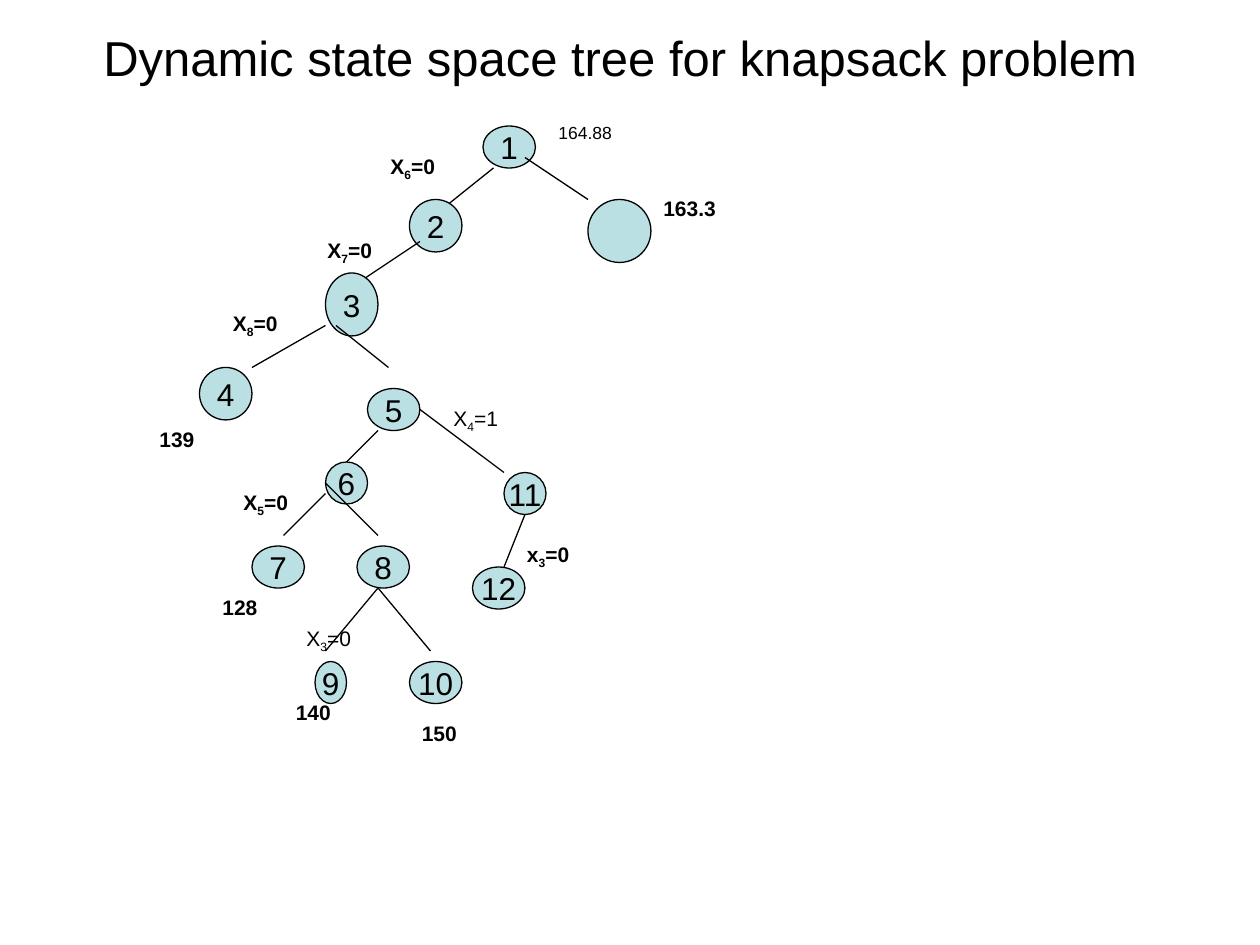
import pptx
import pptx.util
import pptx.dml.color
import pptx.enum.shapes
import pptx.enum.text
import pptx.oxml
import pptx.oxml.ns

COLUMNS, ROWS = 120, 90


def colour(hex_value):
    return pptx.dml.color.RGBColor.from_string(hex_value)


class TreeSlide:
    """Style and current slide; lengths are columns and rows of the grid."""
    font = "Arial"
    ink = "000000"
    node_fill = "BBE0E3"
    line_width = 0.75

    def __init__(self, deck):
        self.cell_width = deck.slide_width / COLUMNS
        self.cell_height = deck.slide_height / ROWS
        self.slide = deck.slides.add_slide(deck.slide_layouts[1])

    def place(self, x, y):
        return round(x * self.cell_width), round(y * self.cell_height)

    def add_run(self, paragraph, text, size, bold=False, subscript=False):
        run = paragraph.add_run()
        run.text = text
        run.font.name = self.font
        run.font.size = pptx.util.Pt(size)
        run.font.bold = bold
        run.font.color.rgb = colour(self.ink)
        if subscript:
            run._r.get_or_add_rPr().set("baseline", "-25000")

    def heading(self, text, x, y, width, height):
        # The heading sits in the body placeholder; the title stays unused
        unused_title = self.slide.shapes.title._element
        unused_title.getparent().remove(unused_title)
        body = self.slide.placeholders[1]
        body.left, body.top = self.place(x, y)
        body.width, body.height = self.place(width, height)
        paragraph = body.text_frame.paragraphs[0]
        paragraph.space_before = pptx.util.Pt(7)
        properties = paragraph._p.get_or_add_pPr()
        properties.set("marL", str(pptx.util.Inches(0.22)))
        properties.set("indent", "0")
        properties.append(pptx.oxml.parse_xml(
            "<a:buNone %s/>" % pptx.oxml.ns.nsdecls("a")))
        self.add_run(paragraph, text, 28)

    def node(self, text, x, y, width, height):
        ellipse = self.slide.shapes.add_shape(
            pptx.enum.shapes.MSO_SHAPE.OVAL,
            *self.place(x, y), *self.place(width, height))
        ellipse.shadow.inherit = False
        ellipse.fill.solid()
        ellipse.fill.fore_color.rgb = colour(self.node_fill)
        ellipse.line.color.rgb = colour(self.ink)
        ellipse.line.width = pptx.util.Pt(self.line_width)
        if text:
            frame = ellipse.text_frame
            frame.word_wrap = False
            frame.vertical_anchor = pptx.enum.text.MSO_ANCHOR.MIDDLE
            frame.paragraphs[0].alignment = pptx.enum.text.PP_ALIGN.CENTER
            self.add_run(frame.paragraphs[0], text, 18)

    def branch(self, x1, y1, x2, y2):
        line = self.slide.shapes.add_connector(
            pptx.enum.shapes.MSO_CONNECTOR.STRAIGHT,
            *self.place(x1, y1), *self.place(x2, y2))
        line.line.color.rgb = colour(self.ink)
        line.line.width = pptx.util.Pt(self.line_width)
        line._element.spPr.append(pptx.oxml.parse_xml(
            "<a:effectLst %s/>" % pptx.oxml.ns.nsdecls("a")))

    def label(self, parts, x, y, width, size=12, bold=True):
        """Parts alternate between normal text and subscript."""
        height = 4 if len(parts) > 1 else size * 0.3
        box = self.slide.shapes.add_textbox(
            *self.place(x, y), *self.place(width, height))
        frame = box.text_frame
        frame.word_wrap = True
        frame.auto_size = pptx.enum.text.MSO_AUTO_SIZE.SHAPE_TO_FIT_TEXT
        paragraph = frame.paragraphs[0]
        paragraph.space_before = pptx.util.Pt(size * 0.625)
        for position, part in enumerate(parts):
            self.add_run(paragraph, part, size, bold, position % 2 == 1)


# Node text, its ellipse, and the branch leading to it
TREE = [
    ("1", (46, 12, 5, 4), None),
    ("2", (39, 19, 5, 5), (47, 16, 42, 20)),
    ("3", (31, 26, 5, 6), (40, 23, 34, 27)),
    ("4", (19, 35, 5, 5), (31, 31, 24, 35)),
    ("5", (35, 37, 5, 4), (32, 31, 37, 35)),
    ("6", (31, 44, 4, 4), (36, 41, 33, 44)),
    ("7", (24, 52, 5, 4), (31, 47, 27, 51)),
    ("8", (34, 52, 5, 4), (31, 46, 36, 51)),
    ("9", (30, 63, 3, 4), (36, 56, 31, 62)),
    ("10", (39, 63, 5, 4), (36, 56, 41, 62)),
    ("11", (48, 45, 4, 4), (40, 39, 48, 45)),
    ("12", (45, 54, 5, 4), (50, 49, 48, 54)),
    ("", (56, 19, 6, 6), (50, 15, 56, 19)),
]

# Variable, index, assignment, place and width, bold
DECISIONS = [
    ("X", "6", "=0", (36, 14, 10), True),
    ("X", "7", "=0", (30, 22, 9), True),
    ("X", "8", "=0", (21, 29, 10), True),
    ("X", "5", "=0", (22, 46, 9), True),
    ("X", "3", "=0", (28, 59, 7), False),
    ("X", "4", "=1", (42, 38, 11), False),
    ("x", "3", "=0", (49, 51, 11), True),
]

# Bound, place and width
BOUNDS = [
    ("139", (14, 40, 9)),
    ("128", (20, 56, 8)),
    ("140", (27, 66, 12)),
    ("150", (39, 68, 7)),
    ("163.3", (62, 18, 11)),
]


def main():
    deck = pptx.Presentation()
    deck.slide_width = pptx.util.Inches(10)
    deck.slide_height = pptx.util.Inches(7.5)
    tree_slide = TreeSlide(deck)

    # Heading
    tree_slide.heading("Dynamic state space tree for knapsack problem",
                       6, 2, 108, 78.4)

    # Tree: each branch lies over its parent and under its child
    for number, ellipse, branch in TREE:
        if branch:
            tree_slide.branch(*branch)
        tree_slide.node(number, *ellipse)

    # Decisions on the branches
    for variable, index, assignment, spot, bold in DECISIONS:
        tree_slide.label((variable, index, assignment), *spot, bold=bold)

    # Bounds beside the nodes
    tree_slide.label(("164.88",), 52, 11, 10, size=10, bold=False)
    for bound, spot in BOUNDS:
        tree_slide.label((bound,), *spot)

    deck.save("out.pptx")


if __name__ == "__main__":
    main()
